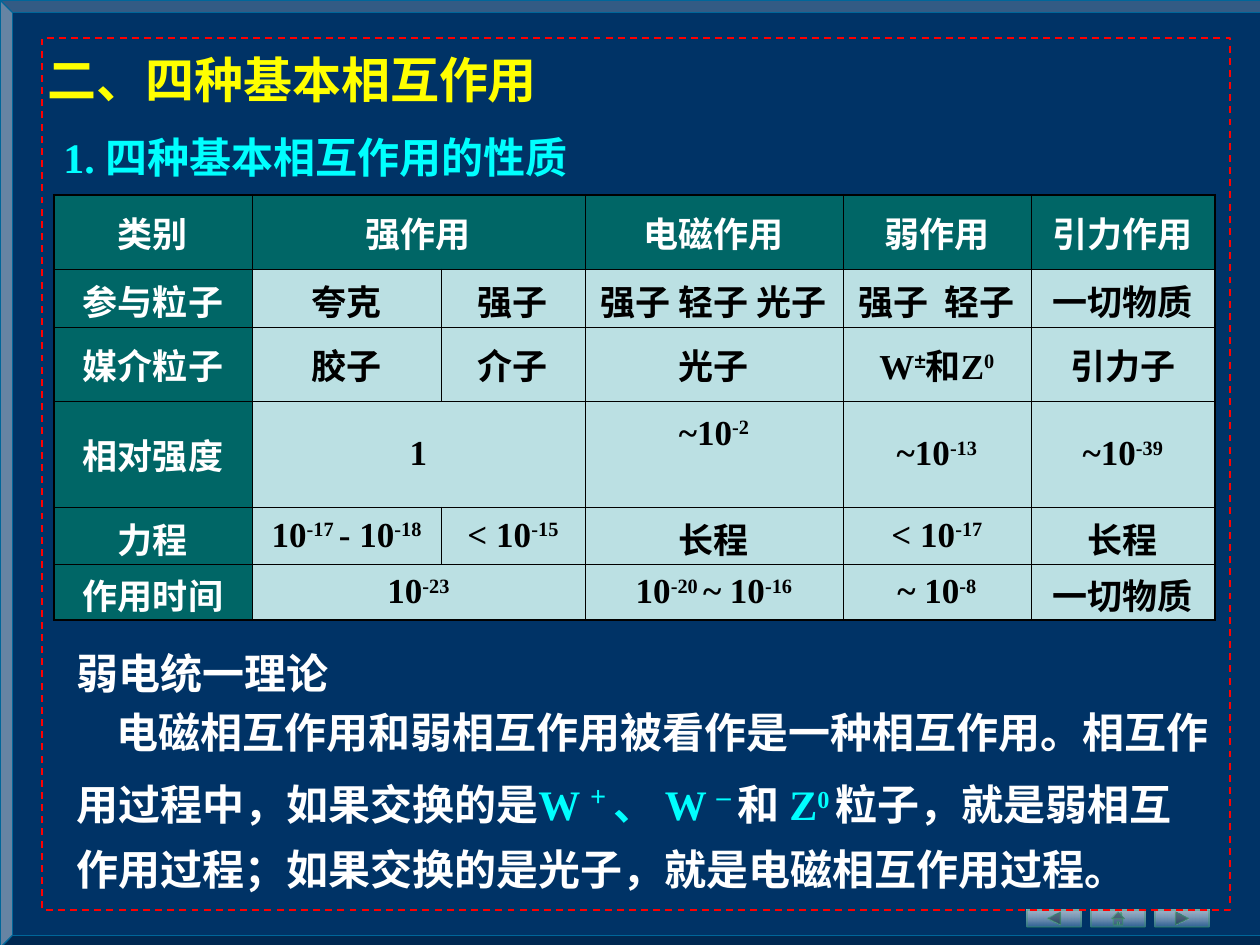
from lxml import etree
from pptx import Presentation
from pptx.dml.color import RGBColor
from pptx.enum.dml import MSO_LINE
from pptx.enum.shapes import MSO_SHAPE
from pptx.enum.text import MSO_ANCHOR, MSO_AUTO_SIZE, PP_ALIGN
from pptx.oxml.ns import qn
from pptx.util import Emu, Pt

PX = 914400 / 126
W, H = 1260, 945

NAVY = RGBColor(0x00, 0x33, 0x66)
EDGE = RGBColor(0x00, 0x66, 0x99)
RED = RGBColor(0xFF, 0x00, 0x00)
YELLOW = RGBColor(0xFF, 0xFF, 0x00)
CYAN = RGBColor(0x00, 0xFF, 0xFF)
WHITE = RGBColor(0xFF, 0xFF, 0xFF)
BLACK = RGBColor(0x00, 0x00, 0x00)
TEAL = RGBColor(0x00, 0x66, 0x66)
PALE = RGBColor(0xBB, 0xE0, 0xE3)
STEEL = RGBColor(0x33, 0x66, 0x99)
GREEN = RGBColor(0x33, 0x99, 0x66)

SERIF, SANS, CJK = "Times New Roman", "Arial", "Noto Sans CJK SC"
DASH = MSO_LINE.DASH
LEFT, CENTER = PP_ALIGN.LEFT, PP_ALIGN.CENTER
TOP, MIDDLE = MSO_ANCHOR.TOP, MSO_ANCHOR.MIDDLE
NO_FIT = MSO_AUTO_SIZE.NONE
BEVEL, RECTANGLE = MSO_SHAPE.BEVEL, MSO_SHAPE.RECTANGLE
BUTTONS = (MSO_SHAPE.ACTION_BUTTON_BACK_OR_PREVIOUS,
           MSO_SHAPE.ACTION_BUTTON_HOME,
           MSO_SHAPE.ACTION_BUTTON_FORWARD_OR_NEXT)

COLS = (198, 189, 144, 258, 188, 184)
ROWS = (74, 58, 74, 106, 57, 56)
TIGHT_ROW = 60
# "^" switches superscript on and off; None joins the cell to its left neighbour
CELLS = (
    ("类别", "强作用", None, "电磁作用", "弱作用", "引力作用"),
    ("参与粒子", "夸克", "强子", "强子 轻子 光子", "强子  轻子", "一切物质"),
    ("媒介粒子", "胶子", "介子", "光子", "W^±^和Z^0", "引力子"),
    ("相对强度", "1", None, "~10^-2", "~10^-13", "~10^-39"),
    ("力程", "10^-17 ^- 10^-18", "< 10^-15", "长程", "< 10^-17", "长程"),
    ("作用时间", "10^-23", None, "10^-20 ^~ 10^-16", "~ 10^-8", "一切物质"),
)
RAISED_CELL = (3, 3)

THEORY = (
    ("电磁相互作用和弱相互作用被看作是一种相互作用。相互作用过程中，如果交换的是",
     CJK, WHITE, 24, False),
    ("W ", SERIF, CYAN, 24, False),
    ("+ ", SERIF, CYAN, 28, True),
    ("、 W ", SERIF, CYAN, 24, False),
    ("– ", SERIF, CYAN, 28, True),
    ("和 ", CJK, WHITE, 24, False),
    ("Z", SERIF, CYAN, 24, False),
    ("0 ", SERIF, CYAN, 24, True),
    ("粒子，就是弱相互作用过程；如果交换的是光子，就是电磁相互作用过程。",
     CJK, WHITE, 24, False),
)


def px(*lengths):
    return [Emu(round(n * PX)) for n in lengths]


def style(r, font, color, size, raised=False):
    r.font.name, r.font.size, r.font.bold = font, Pt(size), True
    r.font.color.rgb = color
    if raised:
        r.font._element.set("baseline", "30000")


def set_alpha(color_element, percent):
    etree.SubElement(color_element, qn("a:alpha")).set("val", str(percent * 1000))


def add_shape(s, kind, box):
    sp = s.shapes.add_shape(kind, *px(*box))
    sp.shadow.inherit = False
    return sp


def add_frame(s, x, y, w, h):
    # Bevelled background
    sp = add_shape(s, BEVEL, (x, y, w + 13, h + 3))
    sp.adjustments[0] = 0.013
    sp.fill.solid()
    sp.fill.fore_color.rgb = NAVY
    sp.line.color.rgb = EDGE
    sp.line.width = Pt(0.75)
    # Navigation buttons
    for i, kind in enumerate(BUTTONS):
        add_button(s, kind, (x + 1027 + i * 64, y + 910, 54, 17))
    # Dashed border
    sp = add_shape(s, RECTANGLE, (x + 42, y + 38, 1188, 872))
    sp.fill.background()
    sp.line.color.rgb = RED
    sp.line.width = Pt(1)
    sp.line.dash_style = DASH


def add_button(s, kind, box):
    sp = add_shape(s, kind, box)
    sp.fill.gradient()
    sp.fill.gradient_angle = 270
    stops = sp.fill.gradient_stops
    for stop, color, at, alpha in zip(stops, (WHITE, STEEL), (0, 1), (62, 89)):
        stop.color.rgb, stop.position = color, at
        set_alpha(stop._gs[0], alpha)
    sp.line.color.rgb = GREEN
    sp.line.width = Pt(0)
    set_alpha(sp.line._ln.find(qn("a:solidFill"))[0], 52)


def format_line(sp, box, text, font, color, size):
    sp.left, sp.top, sp.width, sp.height = px(*box)
    tf = sp.text_frame
    tf.text = text
    tf.word_wrap, tf.auto_size, tf.vertical_anchor = False, NO_FIT, TOP
    p = tf.paragraphs[0]
    p.alignment = LEFT
    style(p.runs[0], font, color, size)


def add_line(s, box, *args):
    format_line(s.shapes.add_textbox(*px(*box)), box, *args)


def set_borders(cell, row, col, last_col):
    tc_pr = cell._tc.get_or_add_tcPr()
    outer = {"lnL": col == 0, "lnR": last_col == len(COLS) - 1,
             "lnT": row == 0, "lnB": row == len(ROWS) - 1}
    for i, (side, is_outer) in enumerate(outer.items()):
        ln = etree.Element(qn("a:" + side), w=str(Pt(1.47 if is_outer else 0.45)))
        fill = etree.SubElement(ln, qn("a:solidFill"))
        etree.SubElement(fill, qn("a:srgbClr"), val=str(BLACK))
        tc_pr.insert(i, ln)


def add_properties_table(s, x, y):
    box = px(x, y, sum(COLS), sum(ROWS))
    table = s.shapes.add_table(len(ROWS), len(COLS), *box).table
    for column, width in zip(table.columns, px(*COLS)):
        column.width = width
    for row, height in zip(table.rows, px(*ROWS)):
        row.height = height
    for i, texts in enumerate(CELLS):
        for j, text in enumerate(texts):
            cell = table.cell(i, j)
            head = i == 0 or j == 0
            cell.fill.solid()
            cell.fill.fore_color.rgb = TEAL if head else PALE
            joined = j + 1 < len(texts) and texts[j + 1] is None
            set_borders(cell, i, j, j + joined)
            if text is None:
                # Keep the covered cell from stretching its row
                cell.margin_top = cell.margin_bottom = 0
                continue
            if joined:
                cell.merge(table.cell(i, j + 1))
            cell.vertical_anchor = MIDDLE
            if (i, j) == RAISED_CELL:
                cell.vertical_anchor = TOP
                cell.margin_top, = px(13)
            # Chinese lines are taller and need the bottom margin of tight rows
            if ROWS[i] < TIGHT_ROW and not text.isascii():
                cell.margin_top, cell.margin_bottom = px(5, 0)
            p = cell.text_frame.paragraphs[0]
            p.alignment = CENTER
            for k, part in enumerate(text.split("^")):
                r = p.add_run()
                r.text = part
                font = SANS if head or part == "±" else SERIF
                style(r, font, WHITE if head else BLACK, 20, k % 2 == 1)


def add_theory(s, x, y, w, h):
    add_line(s, (x, y, 277, 63), "弱电统一理论", CJK, WHITE, 24)
    tf = s.shapes.add_textbox(*px(x, y + 47, w, h - 47)).text_frame
    tf.word_wrap = True
    p = tf.paragraphs[0]
    p.line_spacing = 1.25
    p._p.get_or_add_pPr().set("indent", str(px(40)[0]))
    for text, *look in THEORY:
        r = p.add_run()
        r.text = text
        style(r, *look)


def main():
    prs = Presentation()
    prs.slide_width, prs.slide_height = px(W, H)
    s = prs.slides.add_slide(prs.slide_layouts[5])
    add_frame(s, 0, 0, W, H)
    # Headings, with the title brought in front of the frame
    title = s.shapes.title
    s.shapes._spTree.append(title._element)
    format_line(title, (35, 43, 560, 72), "二、四种基本相互作用", SERIF, YELLOW, 28)
    add_line(s, (51, 125, 539, 63), "1. 四种基本相互作用的性质", SERIF, CYAN, 24)
    add_properties_table(s, 54, 195)
    add_theory(s, 64, 641, 1160, 260)
    prs.save("out.pptx")


if __name__ == "__main__":
    main()
